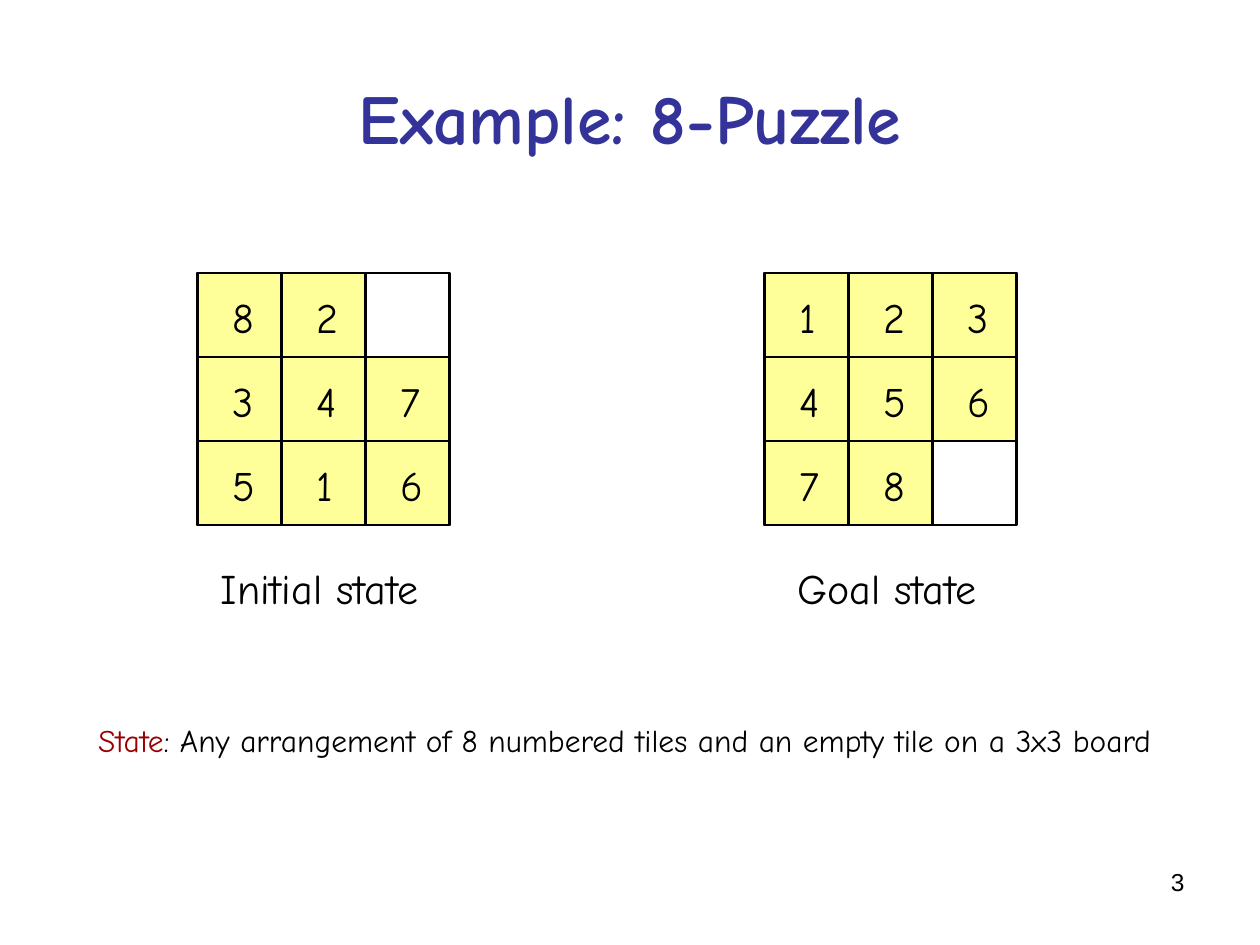
from dataclasses import dataclass

from pptx import Presentation
from pptx.dml.color import RGBColor
from pptx.enum import shapes, text
from pptx.util import Pt


@dataclass(frozen=True)
class Theme:
    font: str = "Comic Neue"
    number_font: str = "Arial"
    title_color: str = "333399"
    ink: str = "000000"
    accent: str = "990000"
    tile: str = "FFFF99"
    title_size: float = 40
    board_size: float = 24
    body_size: float = 18
    number_size: float = 14
    line_width: float = 1.5


THEME = Theme()
CELL = 48
BOARD_TOP = 156
INITIAL_STATE = ("82 ", "347", "516")
GOAL_STATE = ("123", "456", "78 ")


def add_text(parent, box, runs, size, font=THEME.font, bold=False,
             align=text.PP_ALIGN.LEFT, anchor=text.MSO_ANCHOR.TOP, wrap=False):
    """Add one paragraph made of (wording, colour) runs."""
    shape = parent.add_textbox(*(Pt(length) for length in box))
    frame = shape.text_frame
    frame.word_wrap = wrap
    frame.auto_size = (text.MSO_AUTO_SIZE.NONE if wrap
                       else text.MSO_AUTO_SIZE.SHAPE_TO_FIT_TEXT)
    frame.vertical_anchor = anchor
    paragraph = frame.paragraphs[0]
    paragraph.alignment = align
    for wording, color in runs:
        run = paragraph.add_run()
        run.text = wording
        run.font.name = font
        run.font.size = Pt(size)
        run.font.bold = bold
        run.font.color.rgb = RGBColor.from_string(color)


def add_square(parent, left, top, side, fill=None):
    shape = parent.add_shape(shapes.MSO_SHAPE.RECTANGLE,
                             Pt(left), Pt(top), Pt(side), Pt(side))
    shape.shadow.inherit = False
    if fill:
        shape.fill.solid()
        shape.fill.fore_color.rgb = RGBColor.from_string(fill)
    else:
        shape.fill.background()
    shape.line.color.rgb = RGBColor.from_string(THEME.ink)
    shape.line.width = Pt(THEME.line_width)


def add_board(slide, left, rows, caption, caption_left, caption_width):
    """Add a framed 3x3 board; a space in rows leaves its cell empty."""
    board = slide.shapes.add_group_shape().shapes
    add_square(board, left, BOARD_TOP, 3 * CELL)
    tiles = [(digit, left + column * CELL, BOARD_TOP + row * CELL)
             for row, digits in enumerate(rows)
             for column, digit in enumerate(digits) if digit != " "]
    for _, x, y in tiles:
        add_square(board, x, y, CELL, THEME.tile)
    for digit, x, y in tiles:
        width = 24 if digit == "1" else 27
        add_text(board, (x + 13, y + 7, width, 36),
                 [(digit, THEME.ink)], THEME.board_size)
    add_text(board, (caption_left, 318, caption_width, 36),
             [(caption, THEME.ink)], THEME.board_size)


def main():
    presentation = Presentation()
    presentation.slide_width, presentation.slide_height = Pt(720), Pt(540)
    slide = presentation.slides.add_slide(presentation.slide_layouts[6])

    add_text(slide.shapes, (36, 21.6, 648, 90),
             [("Example: 8-Puzzle", THEME.title_color)], THEME.title_size,
             bold=True, align=text.PP_ALIGN.CENTER,
             anchor=text.MSO_ANCHOR.MIDDLE, wrap=True)
    add_board(slide, 113, INITIAL_STATE, "Initial state", 119, 128)
    add_board(slide, 437, GOAL_STATE, "Goal state", 448.5, 118)
    add_text(slide.shapes, (49, 408.5, 618.5, 29),
             [("State", THEME.accent),
              (": Any arrangement of 8 numbered tiles and an empty tile "
               "on a 3x3 board", THEME.ink)], THEME.body_size)
    add_text(slide.shapes, (516, 492, 168, 37.5), [("3", THEME.ink)],
             THEME.number_size, font=THEME.number_font,
             align=text.PP_ALIGN.RIGHT, wrap=True)

    presentation.save("out.pptx")


if __name__ == "__main__":
    main()
